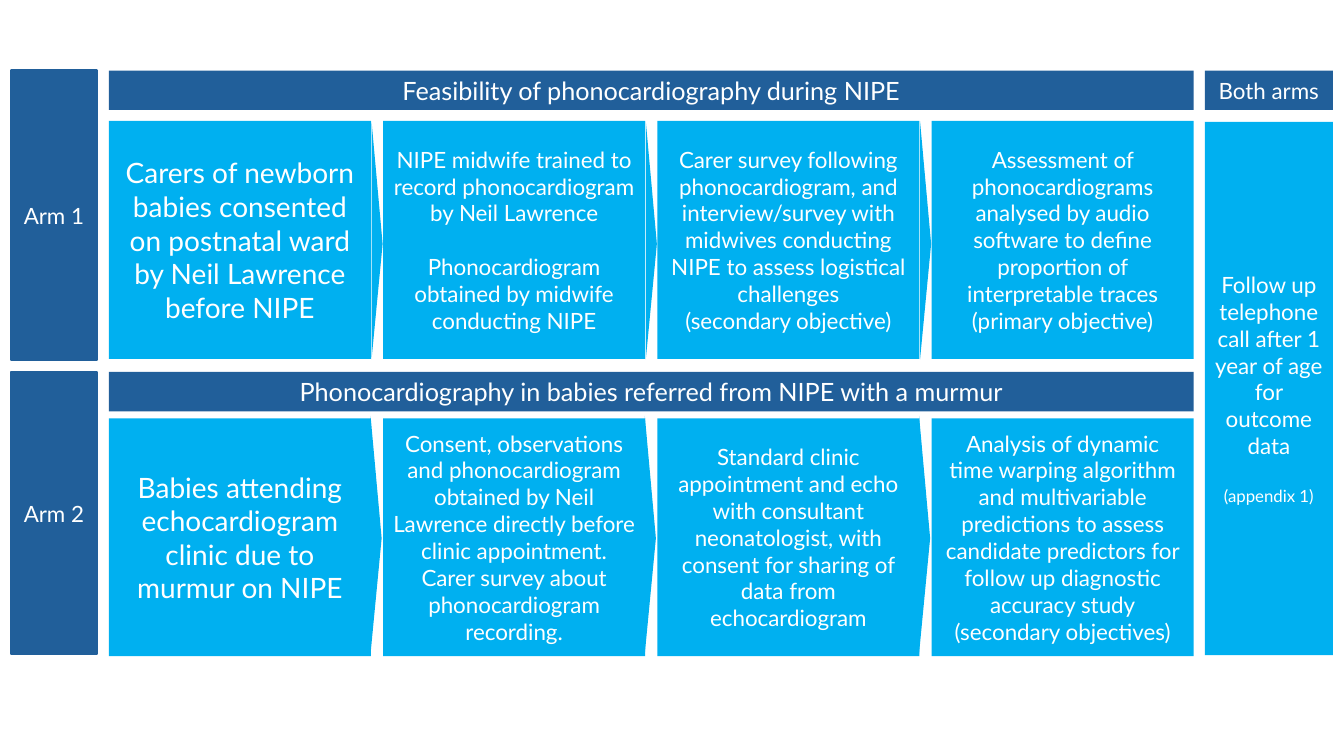
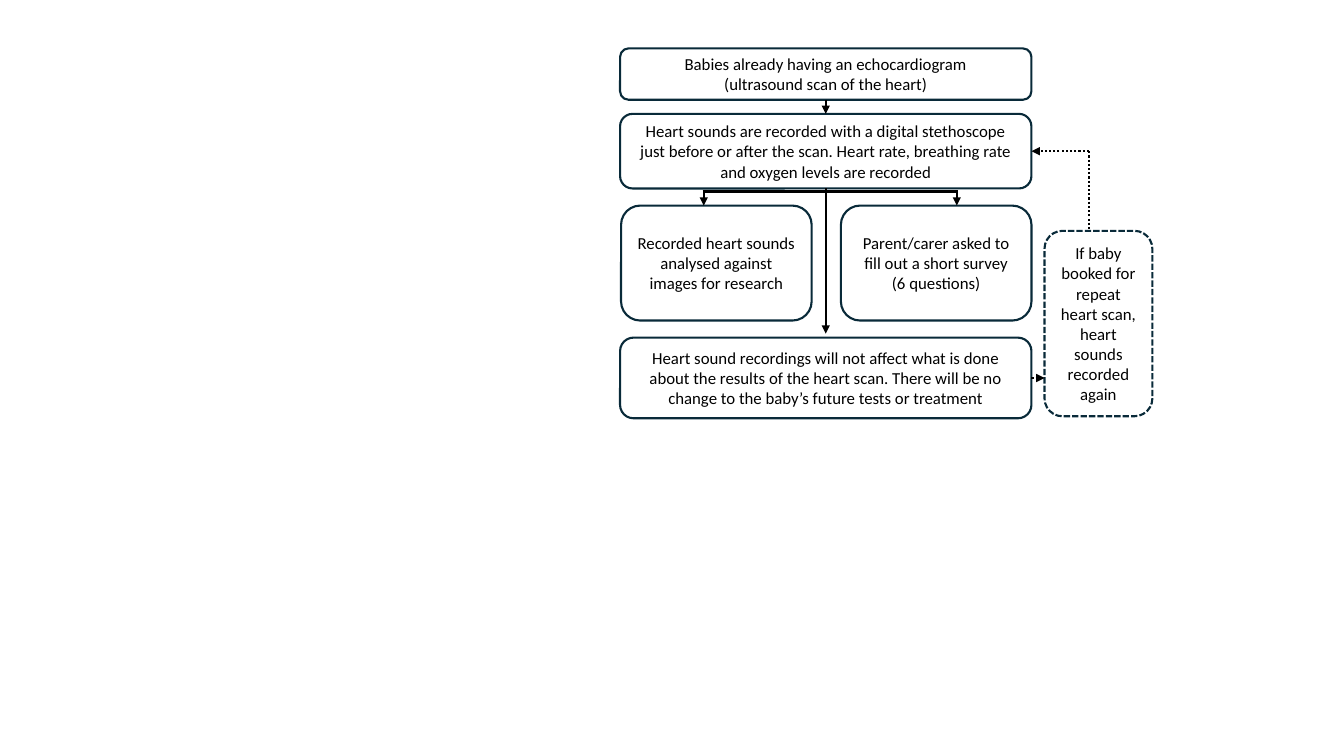
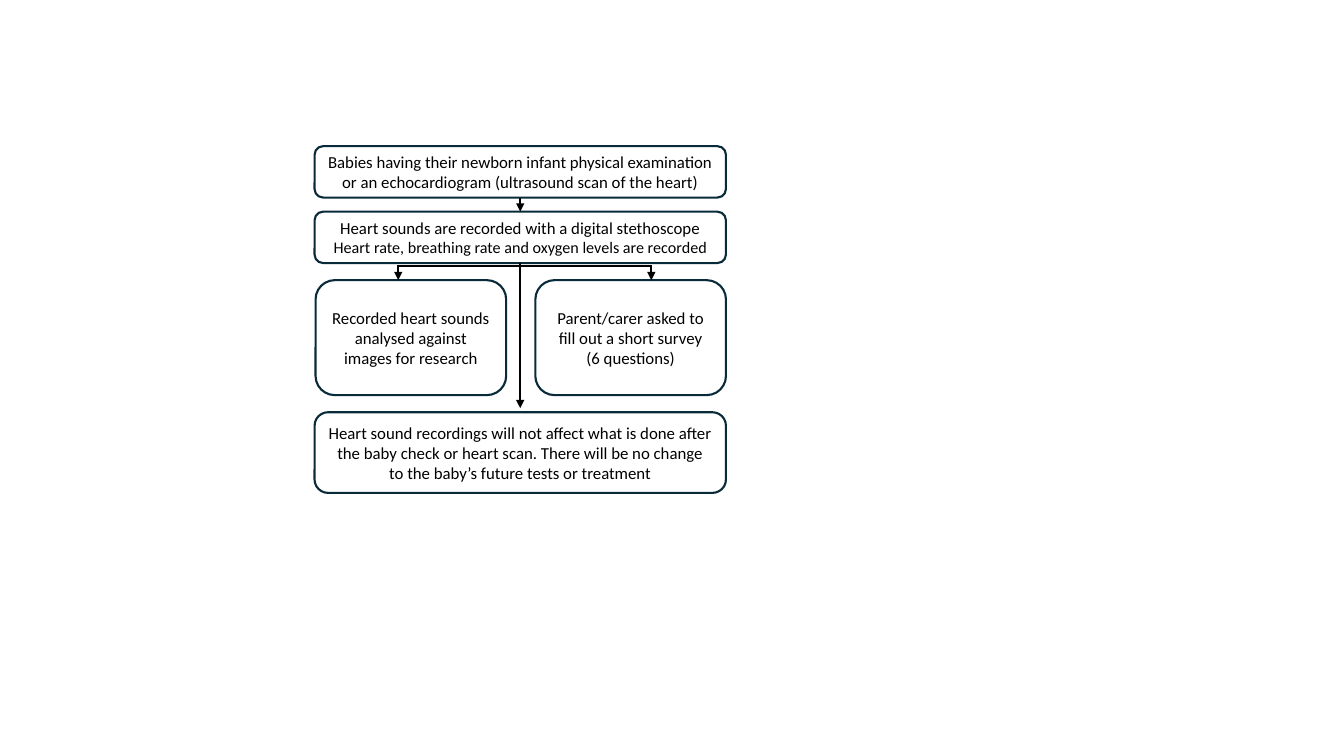
from dataclasses import dataclass
from typing import NamedTuple, Optional

from lxml import etree
from pptx import Presentation
from pptx import util as u
from pptx.dml.color import RGBColor
from pptx.enum import dml, shapes, text
from pptx.oxml import ns

EMU_PER_PX = 9144  # 100 px to the inch


def px(length: int) -> u.Emu:
    return u.Emu(length * EMU_PER_PX)


@dataclass(frozen=True)
class Theme:
    navy: str = "215F9A"
    sky: str = "00B0F0"
    white: str = "FFFFFF"
    black: str = "000000"
    outline: str = "092A39"
    arms_font: str = "Lato"
    flow_font: str = "Calibri"
    lead: float = 20
    header: float = 18
    body: float = 16
    small: float = 12
    tight: float = 11.5
    blank_line: float = 19.2
    stroke: float = 1.5


THEME = Theme()
RECT = shapes.MSO_SHAPE.RECTANGLE
ROUNDED = shapes.MSO_SHAPE.ROUNDED_RECTANGLE
TRIANGLE = shapes.MSO_SHAPE.ISOSCELES_TRIANGLE
DASHED = dml.MSO_LINE.SQUARE_DOT
DOTTED = dml.MSO_LINE.ROUND_DOT
TOP, BOTTOM, RIGHT = 0, 2, 3


class Area(NamedTuple):
    left: int
    top: int
    width: int
    height: int


class Point(NamedTuple):
    x: int
    y: int


class Para(NamedTuple):
    words: str
    size: float
    before: float = 0


@dataclass(frozen=True)
class Style:
    fill: str
    ink: str
    font: str
    kind: shapes.MSO_SHAPE = RECT
    line: Optional[str] = None
    dash: Optional[dml.MSO_LINE] = None


BAND = Style(THEME.navy, THEME.white, THEME.arms_font)
ARM_LABEL = Style(THEME.navy, THEME.white, THEME.arms_font, line=THEME.navy)
STAGE = Style(THEME.sky, THEME.white, THEME.arms_font)
POINTER = Style(THEME.sky, THEME.white, THEME.arms_font, TRIANGLE)
STEP = Style(THEME.white, THEME.black, THEME.flow_font, ROUNDED, THEME.outline)
REPEAT = Style(THEME.white, THEME.black, THEME.flow_font, ROUNDED, THEME.outline, DASHED)


def add_box(slide, area: Area, style: Style, *paras: Para):
    box = slide.shapes.add_shape(style.kind, *map(px, area))
    box.shadow.inherit = False
    box.fill.solid()
    box.fill.fore_color.rgb = RGBColor.from_string(style.fill)
    if style.line:
        box.line.color.rgb = RGBColor.from_string(style.line)
        box.line.width = u.Pt(THEME.stroke)
        if style.dash:
            box.line.dash_style = style.dash
    else:
        box.line.fill.background()
    frame = box.text_frame
    frame.word_wrap = True
    frame.vertical_anchor = text.MSO_ANCHOR.MIDDLE
    for i, para in enumerate(paras):
        paragraph = frame.add_paragraph() if i else frame.paragraphs[0]
        paragraph.text = para.words
        paragraph.alignment = text.PP_ALIGN.CENTER
        if para.before:
            paragraph.space_before = u.Pt(para.before)
        paragraph.font.name = style.font
        paragraph.font.size = u.Pt(para.size)
        paragraph.font.color.rgb = RGBColor.from_string(style.ink)
    return box


def add_line(slide, start: Point, end: Point, head: bool = True, dash: Optional[dml.MSO_LINE] = None):
    line = slide.shapes.add_connector(shapes.MSO_CONNECTOR.STRAIGHT, *map(px, start + end))
    line.line.color.rgb = RGBColor.from_string(THEME.black)
    line.line.width = u.Pt(THEME.stroke)
    if dash:
        line.line.dash_style = dash
    properties = line.element.spPr
    if head:
        etree.SubElement(properties.find(ns.qn("a:ln")), ns.qn("a:tailEnd"), type="triangle")
    etree.SubElement(properties, ns.qn("a:effectLst"))
    return line


# Study arms
@dataclass(frozen=True)
class Arm:
    label: str
    title: str
    top: int
    label_height: int
    stage_top: int
    pointer: Point
    stages: tuple[tuple[Para, ...], ...]


LEFT, PITCH = 108, 272
STAGE_WIDTH, STAGE_HEIGHT, BAND_HEIGHT = 260, 236, 39
POINTER_DEPTH = 11

ARMS = (
    Arm("Arm 1", "Feasibility of phonocardiography during NIPE", 70, 287, 120, Point(256, 233), (
        (Para("Carers of newborn babies consented on postnatal ward by Neil Lawrence before NIPE", THEME.lead),),
        (Para("NIPE midwife trained to record phonocardiogram by Neil Lawrence", THEME.body),
         Para("Phonocardiogram obtained by midwife conducting NIPE", THEME.body, THEME.blank_line)),
        (Para("Carer survey following phonocardiogram, and interview/survey with midwives "
              "conducting NIPE to assess logistical challenges", THEME.body),
         Para("(secondary objective)", THEME.body)),
        (Para("Assessment of phonocardiograms analysed by audio software to define proportion "
              "of interpretable traces (primary objective)", THEME.body),),
    )),
    Arm("Arm 2", "Phonocardiography in babies referred from NIPE with a murmur", 369, 280, 415, Point(255, 525), (
        (Para("Babies attending echocardiogram clinic due to murmur on NIPE", THEME.lead),),
        (Para("Consent, observations and phonocardiogram obtained by Neil Lawrence directly "
              "before clinic appointment.", THEME.body),
         Para("Carer survey about phonocardiogram recording.", THEME.body)),
        (Para("Standard clinic appointment and echo with consultant neonatologist, with consent "
              "for sharing of data from echocardiogram", THEME.body),),
        (Para("Analysis of dynamic time warping algorithm and multivariable predictions to assess "
              "candidate predictors for follow up diagnostic accuracy study", THEME.body),
         Para("(secondary objectives)", THEME.body)),
    )),
)


def draw_arm(slide, arm: Arm) -> None:
    add_box(slide, Area(11, arm.top, 85, arm.label_height), ARM_LABEL, Para(arm.label, THEME.body))
    add_box(slide, Area(LEFT, arm.top, 1076, BAND_HEIGHT), BAND, Para(arm.title, THEME.header))
    for i, stage in enumerate(arm.stages):
        add_box(slide, Area(LEFT + i * PITCH, arm.stage_top, STAGE_WIDTH, STAGE_HEIGHT), STAGE, *stage)
    # Pointers lead from each stage to the next
    for i in range(len(arm.stages) - 1):
        area = Area(arm.pointer.x + i * PITCH, arm.pointer.y, STAGE_HEIGHT, POINTER_DEPTH)
        pointer = add_box(slide, area, POINTER)
        pointer.adjustments[0] = 0.515
        pointer.rotation = 90


def draw_arms_slide(slide) -> None:
    for arm in ARMS:
        draw_arm(slide, arm)
    # Follow-up shared by both arms
    add_box(slide, Area(1195, 70, 127, BAND_HEIGHT), BAND, Para("Both arms", THEME.body))
    add_box(slide, Area(1195, 121, 127, 529), STAGE,
            Para("Follow up telephone call after 1 year of age for outcome data", THEME.body),
            Para("(appendix 1)", THEME.small, THEME.blank_line))


# Recording flow for families
@dataclass(frozen=True)
class Flow:
    left: int
    top: int
    recording_height: int
    babies: tuple[Para, ...]
    recording: tuple[Para, ...]
    outcome: str


FLOW_WIDTH, HALF_WIDTH = 408, 189

SCAN_FLOW = Flow(
    615, 48, 74,
    (Para("Babies already having an echocardiogram", THEME.small),
     Para("(ultrasound scan of the heart)", THEME.small)),
    (Para("Heart sounds are recorded with a digital stethoscope just before or after the scan. "
          "Heart rate, breathing rate and oxygen levels are recorded", THEME.small),),
    "Heart sound recordings will not affect what is done about the results of the heart scan. "
    "There will be no change to the baby’s future tests or treatment",
)
NEWBORN_FLOW = Flow(
    312, 145, 51,
    (Para("Babies having their newborn infant physical examination or an echocardiogram "
          "(ultrasound scan of the heart)", THEME.small),),
    (Para("Heart sounds are recorded with a digital stethoscope", THEME.small),
     Para("Heart rate, breathing rate and oxygen levels are recorded", THEME.tight)),
    "Heart sound recordings will not affect what is done after the baby check or heart scan. "
    "There will be no change to the baby’s future tests or treatment",
)


def draw_flow(slide, flow: Flow):
    recording_top = flow.top + 65
    recording_bottom = recording_top + flow.recording_height
    branch_top = recording_bottom + 17
    outcome_top = branch_top + 131
    middle = flow.left + FLOW_WIDTH // 2

    # Steps
    babies = add_box(slide, Area(flow.left, flow.top, FLOW_WIDTH, 51), STEP, *flow.babies)
    recording = add_box(slide, Area(flow.left, recording_top, FLOW_WIDTH, flow.recording_height),
                        STEP, *flow.recording)
    add_box(slide, Area(flow.left + 1, branch_top, HALF_WIDTH, 114), STEP,
            Para("Recorded heart sounds analysed against images for research", THEME.small))
    add_box(slide, Area(flow.left + FLOW_WIDTH - HALF_WIDTH, branch_top, HALF_WIDTH, 114), STEP,
            Para("Parent/carer asked to fill out a short survey", THEME.small),
            Para("(6 questions)", THEME.small))
    outcome = add_box(slide, Area(flow.left, outcome_top, FLOW_WIDTH, 80), STEP,
                      Para(flow.outcome, THEME.small))

    # Main path
    entry = add_line(slide, Point(middle, flow.top + 51), Point(middle, recording_top))
    entry.begin_connect(babies, BOTTOM)
    entry.end_connect(recording, TOP)
    descent = add_line(slide, Point(middle, recording_bottom), Point(middle, outcome_top - 4))
    descent.begin_connect(recording, BOTTOM)

    # Branches
    bus = recording_bottom + 3
    branches = (flow.left + 83, flow.left + 334)
    for x in branches:
        add_line(slide, Point(x, bus), Point(x, branch_top))
    add_line(slide, Point(branches[0] - 1, bus), Point(branches[1] + 1, bus), head=False)
    return recording, outcome


def draw_repeat_loop(slide, recording, outcome) -> None:
    add_box(slide, Area(1036, 229, 107, 184), REPEAT,
            Para("If baby booked for repeat heart scan, heart sounds recorded again", THEME.small))
    add_line(slide, Point(1080, 150), Point(1080, 229), head=False, dash=DOTTED)
    back = add_line(slide, Point(1080, 150), Point(1023, 150), dash=DOTTED)
    back.end_connect(recording, RIGHT)
    onward = add_line(slide, Point(1023, 375), Point(1036, 375), dash=DOTTED)
    onward.begin_connect(outcome, RIGHT)


def main() -> None:
    deck = Presentation()
    deck.slide_width, deck.slide_height = px(1333), px(750)
    blank = deck.slide_layouts[6]
    draw_arms_slide(deck.slides.add_slide(blank))
    scan = deck.slides.add_slide(blank)
    draw_repeat_loop(scan, *draw_flow(scan, SCAN_FLOW))
    draw_flow(deck.slides.add_slide(blank), NEWBORN_FLOW)
    deck.save("out.pptx")


if __name__ == "__main__":
    main()
